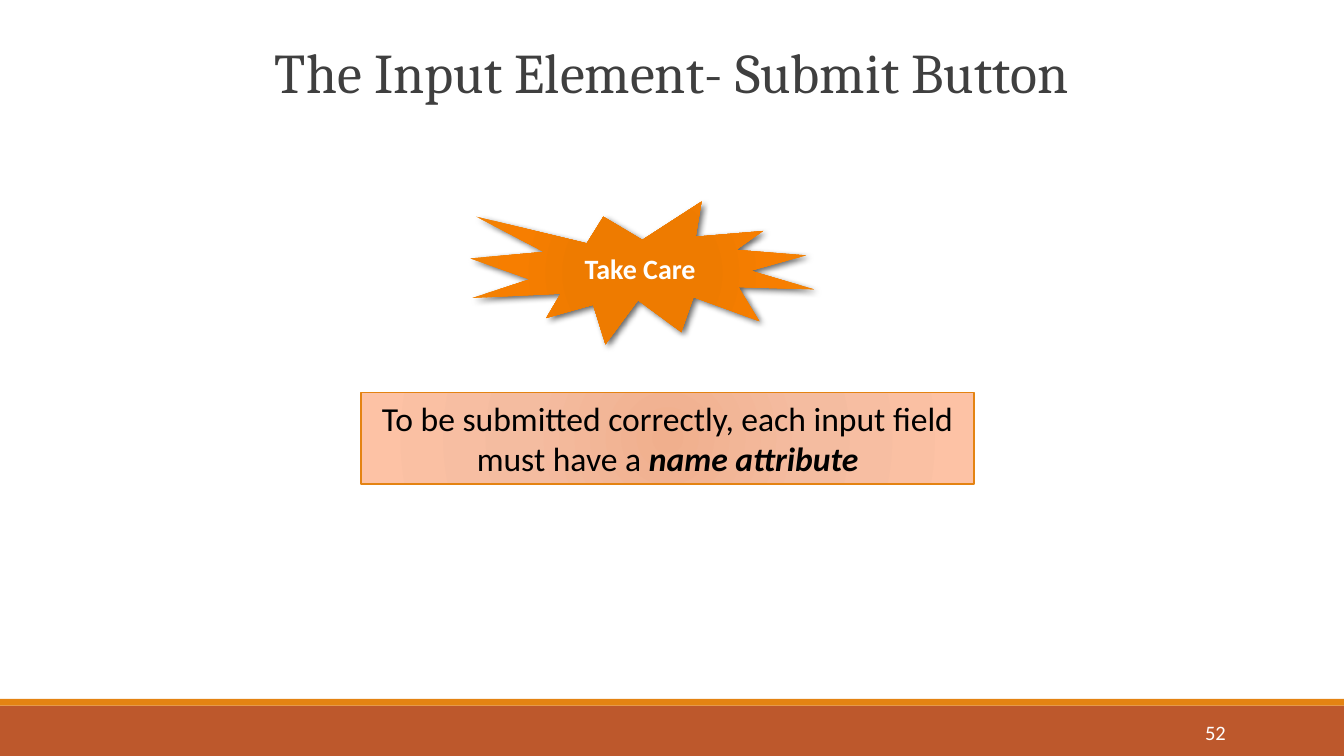
from lxml.etree import SubElement
from pptx import Presentation
from pptx.dml.color import RGBColor
from pptx.enum.shapes import MSO_SHAPE
from pptx.enum.text import MSO_ANCHOR, MSO_AUTO_SIZE, PP_ALIGN
from pptx.oxml.ns import qn
from pptx.util import Cm, Pt

TITLE = "The Input Element- Submit Button"
WARNING = "Take Care"
ADVICE = ["To be submitted correctly, each input field must have a "]
ADVICE_KEY = "name attribute"
PAGE_NUMBER = "52"

RUST = RGBColor(0xBD, 0x58, 0x2C)
ORANGE = RGBColor(0xE4, 0x83, 0x12)
WHITE = RGBColor(0xFF, 0xFF, 0xFF)
BLACK = RGBColor(0, 0, 0)
CHARCOAL = RGBColor(0x3F, 0x3F, 0x3F)
SEAL_STOPS = [
    (0, RGBColor(0xF0, 0x7B, 0x00)),
    (34, RGBColor(0xEE, 0x7B, 0x00)),
    (70, RGBColor(0xF7, 0x7E, 0x00)),
    (100, RGBColor(0xEE, 0x83, 0x07)),
]
PEACH_STOPS = [
    (0, RGBColor(0xF0, 0xAF, 0x8D)),
    (45, RGBColor(0xF4, 0xBC, 0xA0)),
    (100, RGBColor(0xFD, 0xC2, 0xA5)),
]

SLIDE_WIDTH, SLIDE_HEIGHT = Cm(25.4), Cm(14.29)
FOOTER_HEIGHT, STRIPE_HEIGHT = Cm(0.95), Cm(0.13)


def write(shape, runs, size, color, font="Calibri", align=PP_ALIGN.CENTER,
          anchor=MSO_ANCHOR.MIDDLE, line_spacing=None):
    """Fill a shape with one paragraph; runs are (text, bold, italic)."""
    frame = shape.text_frame
    frame.word_wrap = True
    frame.auto_size = MSO_AUTO_SIZE.NONE
    frame.vertical_anchor = anchor
    frame.margin_left = frame.margin_right = Cm(0.19)
    frame.margin_top = frame.margin_bottom = Cm(0.1)
    paragraph = frame.paragraphs[0]
    paragraph.alignment = align
    paragraph.line_spacing = line_spacing
    for text, bold, italic in runs:
        run = paragraph.add_run()
        run.text = text
        run.font.name, run.font.size = font, Pt(size)
        run.font.bold, run.font.italic = bold, italic
        run.font.color.rgb = color


def add_block(slide, preset, left, top, width, height, fill=None, line=None):
    block = slide.shapes.add_shape(preset, left, top, width, height)
    block.shadow.inherit = False
    if fill is not None:
        block.fill.solid()
        block.fill.fore_color.rgb = fill
    if line is None:
        block.line.fill.background()
    else:
        block.line.color.rgb = line
        block.line.width = Pt(1)
    return block


def add_color(parent, color):
    return SubElement(parent, qn("a:srgbClr"), val=str(color))


def fill_radial(shape, stops):
    properties = shape.element.spPr
    gradient = SubElement(properties, qn("a:gradFill"), rotWithShape="1")
    stop_list = SubElement(gradient, qn("a:gsLst"))
    for percent, color in stops:
        add_color(SubElement(stop_list, qn("a:gs"), pos=str(percent * 1000)), color)
    circle = SubElement(gradient, qn("a:path"), {"path": "circle"})
    SubElement(circle, qn("a:fillToRect"), {side: "50000" for side in "ltrb"})
    properties.find(qn("a:prstGeom")).addnext(gradient)


def cast_shadow(shape):
    effects = shape.element.spPr.find(qn("a:effectLst"))
    shadow = SubElement(effects, qn("a:outerShdw"), blurRad=str(Pt(3.5)),
                        dist=str(Pt(2)), dir=str(45 * 60000), rotWithShape="0")
    SubElement(add_color(shadow, BLACK), qn("a:alpha"), val="60000")


def main():
    presentation = Presentation()
    presentation.slide_width, presentation.slide_height = SLIDE_WIDTH, SLIDE_HEIGHT
    slide = presentation.slides.add_slide(presentation.slide_layouts[5])

    footer_top = SLIDE_HEIGHT - FOOTER_HEIGHT
    add_block(slide, MSO_SHAPE.RECTANGLE, 0, footer_top,
              SLIDE_WIDTH, FOOTER_HEIGHT, RUST)
    add_block(slide, MSO_SHAPE.RECTANGLE, 0, footer_top - STRIPE_HEIGHT,
              SLIDE_WIDTH, STRIPE_HEIGHT, ORANGE)
    page_number = slide.shapes.add_textbox(Cm(20.62), Cm(13.46), Cm(2.74), Cm(0.76))
    write(page_number, [(PAGE_NUMBER, False, False)], 11, WHITE, align=PP_ALIGN.RIGHT)

    title = slide.shapes.title
    title.left, title.top, title.width, title.height = 0, Cm(0.03), SLIDE_WIDTH, Cm(2.06)
    write(title, [(TITLE, False, False)], 30, CHARCOAL, font="Cambria",
          anchor=MSO_ANCHOR.BOTTOM, line_spacing=0.85)

    seal = add_block(slide, MSO_SHAPE.EXPLOSION1, Cm(8.89), Cm(3.81), Cm(6.5), Cm(2.7))
    fill_radial(seal, SEAL_STOPS)
    cast_shadow(seal)
    write(seal, [(WARNING, True, False)], 15, WHITE)

    advice = add_block(slide, MSO_SHAPE.RECTANGLE, Cm(6.83), Cm(7.42),
                       Cm(11.58), Cm(1.73), line=ORANGE)
    fill_radial(advice, PEACH_STOPS)
    write(advice, [(ADVICE[0], False, False), (ADVICE_KEY, True, True)], 18, BLACK,
          anchor=MSO_ANCHOR.TOP)

    presentation.save("out.pptx")


if __name__ == "__main__":
    main()
